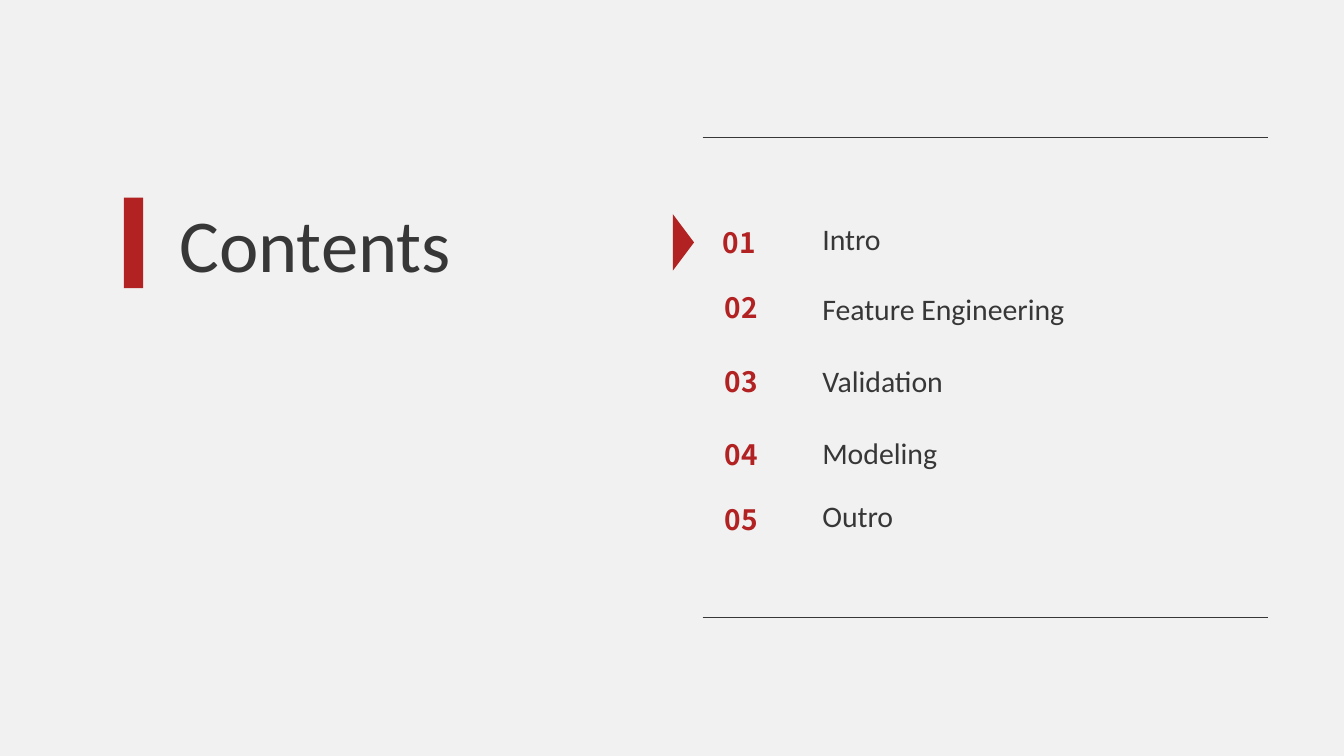
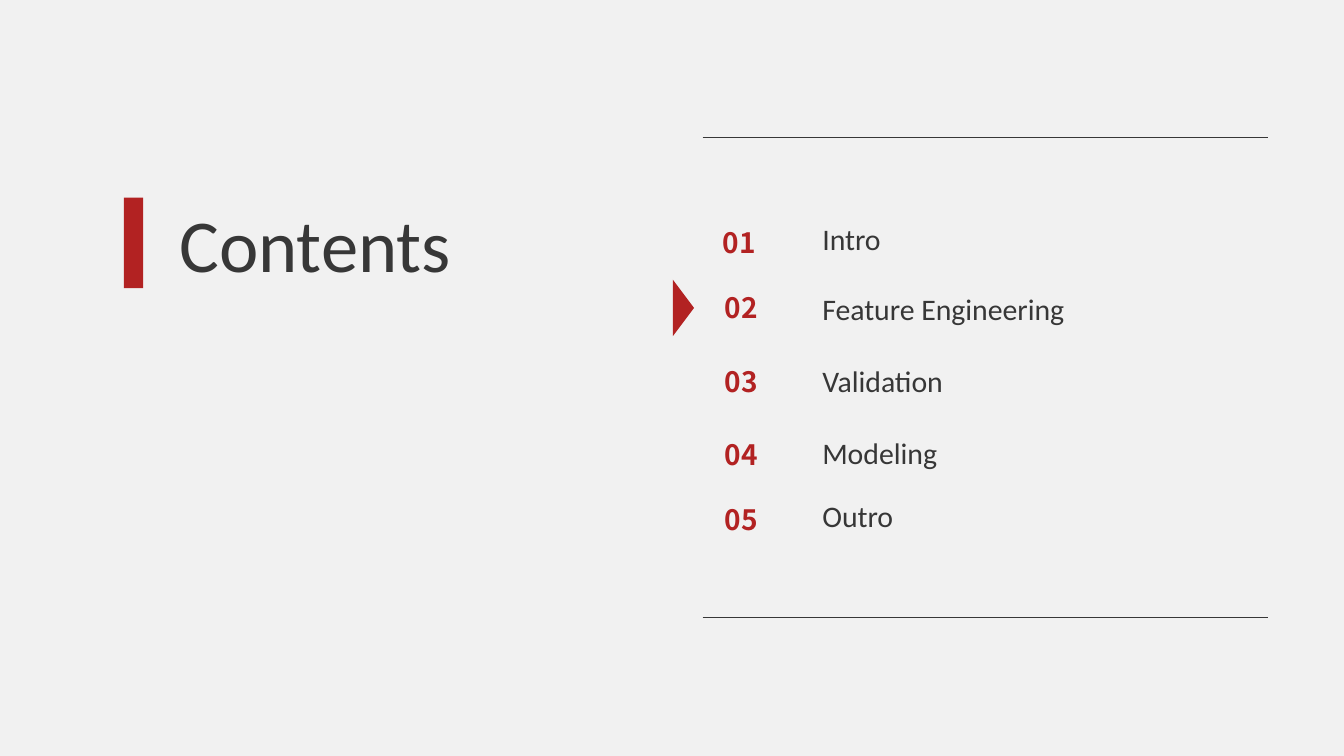
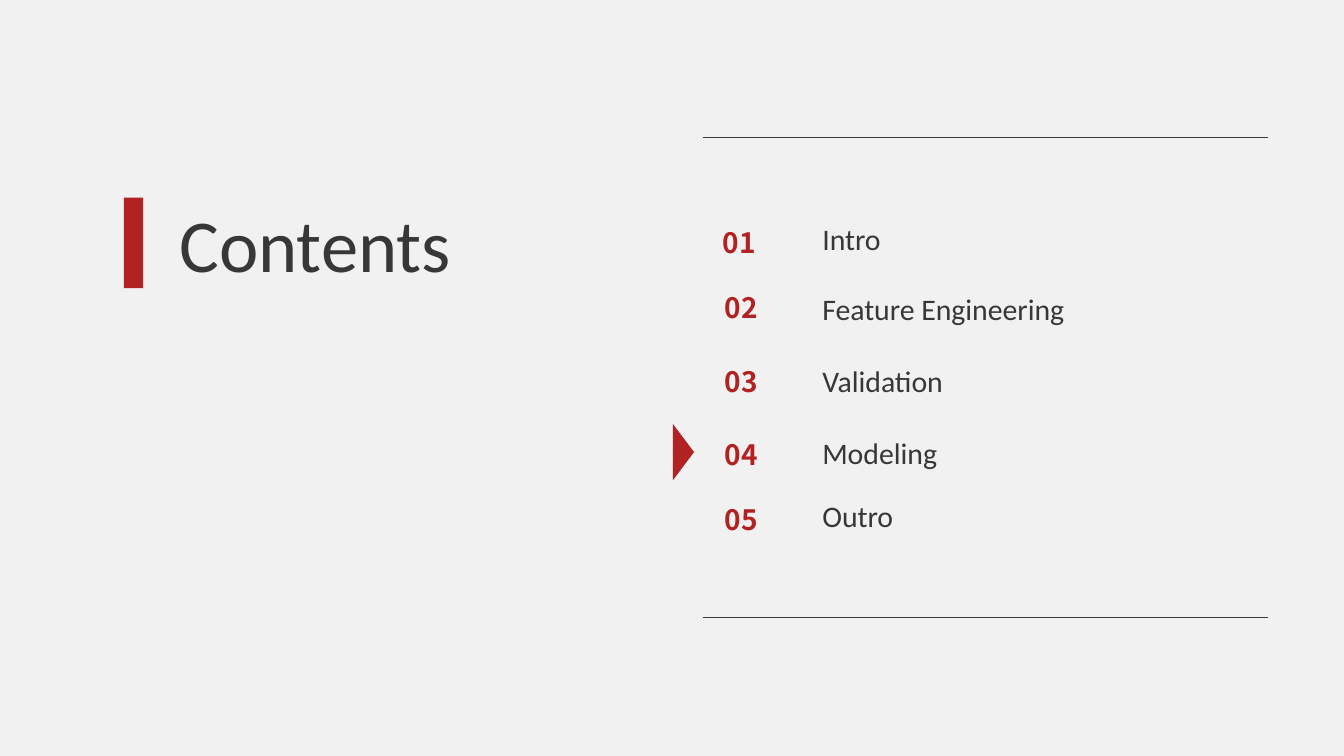
from typing import NamedTuple

from lxml.etree import SubElement
from pptx import Presentation
from pptx.dml.color import RGBColor
from pptx.enum.shapes import MSO_CONNECTOR as Connector, MSO_SHAPE as Shape
from pptx.enum.text import MSO_AUTO_SIZE as AutoSize
from pptx.oxml.ns import qn
from pptx.util import Inches, Pt

PAPER = RGBColor(0xF1, 0xF1, 0xF1)
INK = RGBColor(0x37, 0x37, 0x37)
RED = RGBColor(0xB2, 0x22, 0x22)
TEXT_FONT, NUMBER_FONT = "Calibri", "Noto Sans CJK KR"

SLIDE_WIDTH, SLIDE_HEIGHT = Inches(13.33), Inches(7.5)
COLUMN, ROW = SLIDE_WIDTH / 160, SLIDE_HEIGHT / 90

CHAPTERS = ["Intro", "Feature Engineering", "Validation", "Modeling", "Outro"]
CHAPTER_GAPS = [24.4, 26, 26, 19.5]
NUMBER_LEFTS = [2.4] + [2.64] * 4
NUMBER_TOPS = [10.56, 18.24, 27.12, 35.76, 43.56]
MARKER_TOPS = [11.28, 19.08, 36.24]


class Box(NamedTuple):
    """An area of the slide in grid columns and rows."""
    left: float
    top: float
    width: float
    height: float

    def inner(self, left, top, width, height):
        """Return an area placed from this one's top left corner."""
        return Box(self.left + left, self.top + top, width, height)

    def emu(self):
        """Return left, top, width and height in slide units."""
        return (round(self.left * COLUMN), round(self.top * ROW),
                round(self.width * COLUMN), round(self.height * ROW))


TITLE_AREA = Box(14.76, 23.52, 67.08, 10.8)
AGENDA_AREA = Box(83.64, 16.32, 67.32, 57.24)


def add_text(slide, box, lines, font, size, color, bold=False, leading=None, flush=True):
    """Write lines in a wrapping text box and return its paragraphs."""
    frame = slide.shapes.add_textbox(*box.emu()).text_frame
    frame.word_wrap = True
    frame.auto_size = AutoSize.SHAPE_TO_FIT_TEXT
    if flush:
        frame.margin_left = frame.margin_top = frame.margin_right = frame.margin_bottom = 0
    frame.text = "\n".join(lines)
    for paragraph in frame.paragraphs:
        if leading:
            paragraph.line_spacing = Pt(leading)
        for run in paragraph.runs:
            run.font.name, run.font.size, run.font.bold = font, Pt(size), bold
            run.font.color.rgb = color
    return frame.paragraphs


def add_red_shape(slide, kind, box, rotation=0):
    """Draw a plain red shape without outline."""
    shape = slide.shapes.add_shape(kind, *box.emu())
    shape.shadow.inherit = False
    shape.fill.solid()
    shape.fill.fore_color.rgb = RED
    shape.line.fill.background()
    shape.rotation = rotation


def add_rule(slide, box):
    """Draw a thin line along the top of the box."""
    left, top, width, _ = box.emu()
    rule = slide.shapes.add_connector(Connector.STRAIGHT, left, top, left + width, top)
    rule.line.color.rgb = INK
    rule.line.width = Pt(0.75)
    SubElement(rule._element.spPr, qn("a:effectLst"))


def add_title(slide, area, title):
    """Place the title beside its red bar."""
    add_text(slide, area.inner(6.6, 0, area.width - 6.6, area.height),
             [title], TEXT_FONT, 53.3, INK, leading=64)
    add_red_shape(slide, Shape.RECTANGLE, area.inner(0, 0, 2.28, area.height))


def add_agenda(slide, area, marker_top):
    """Place the numbered chapters between two rules, with the marker."""
    for edge in (0, area.height):
        add_rule(slide, area.inner(0, edge, area.width, 0))
    chapters = add_text(slide, area.inner(13.08, 9.36, 45.96, 39.96),
                        CHAPTERS, TEXT_FONT, 21.3, INK, flush=False)
    for chapter, gap in zip(chapters[1:], CHAPTER_GAPS):
        chapter.space_before = Pt(gap)
    for number, (left, top) in enumerate(zip(NUMBER_LEFTS, NUMBER_TOPS), 1):
        add_text(slide, area.inner(left, top, 15.6, 4.08), [f"{number:02}"],
                 NUMBER_FONT, 20, RED, bold=True, leading=24)
    add_red_shape(slide, Shape.ISOSCELES_TRIANGLE,
                  area.inner(-5.64, marker_top, 6.72, 2.52), rotation=90)


def add_contents_slide(deck, marker_top):
    """Add a contents slide with the marker at the given row."""
    slide = deck.slides.add_slide(deck.slide_layouts[6])
    add_title(slide, TITLE_AREA, "Contents")
    add_agenda(slide, AGENDA_AREA, marker_top)


def main():
    """Build and save the deck."""
    deck = Presentation()
    deck.slide_width, deck.slide_height = SLIDE_WIDTH, SLIDE_HEIGHT
    background = deck.slide_master.background.fill
    background.solid()
    background.fore_color.rgb = PAPER
    for marker_top in MARKER_TOPS:
        add_contents_slide(deck, marker_top)
    deck.save("out.pptx")


if __name__ == "__main__":
    main()
